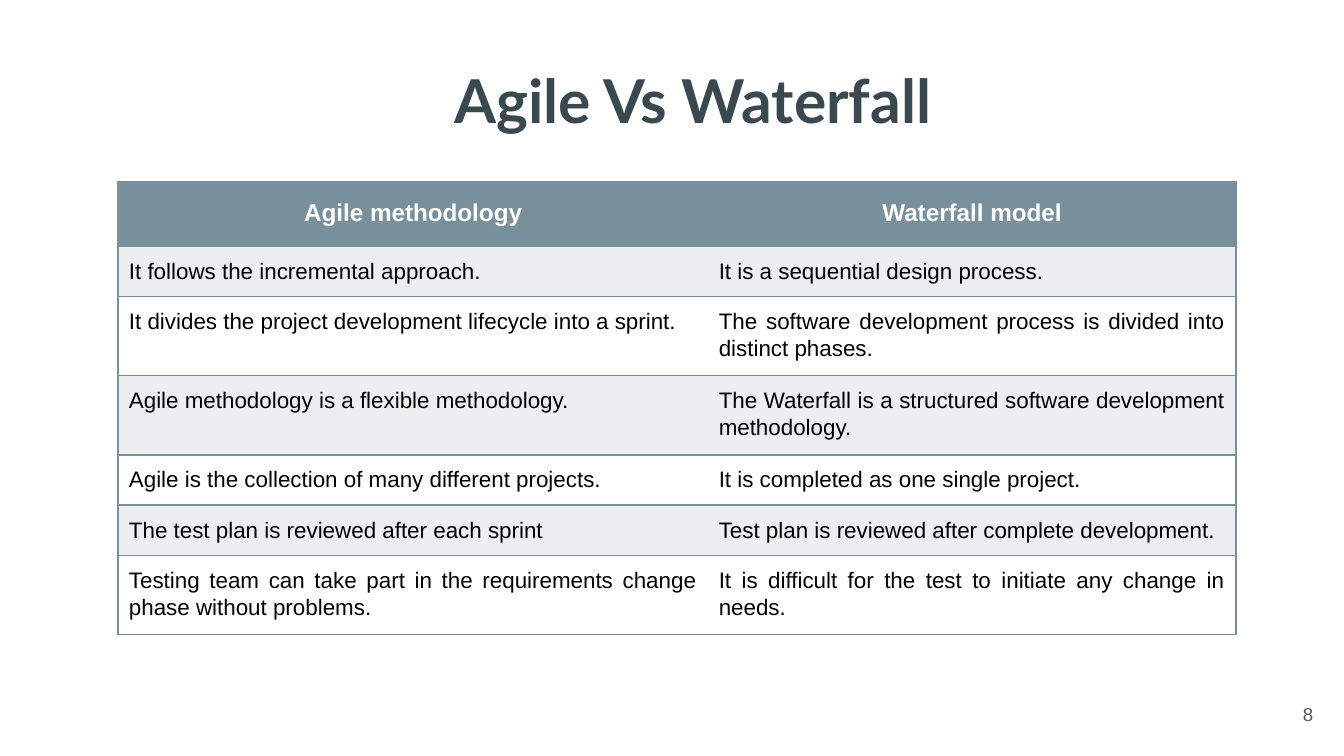
from dataclasses import dataclass

from lxml import etree
from pptx import Presentation
from pptx.dml.color import RGBColor
from pptx.enum.text import MSO_ANCHOR, PP_ALIGN
from pptx.oxml.ns import qn
from pptx.util import Pt

LEFT, CENTER, RIGHT, JUSTIFY = PP_ALIGN.LEFT, PP_ALIGN.CENTER, PP_ALIGN.RIGHT, PP_ALIGN.JUSTIFY
TOP, MIDDLE = MSO_ANCHOR.TOP, MSO_ANCHOR.MIDDLE


@dataclass(frozen=True)
class Theme:
    title_font: str = "Lato"
    body_font: str = "Arial"
    title_size: float = 32.4
    header_size: float = 13
    body_size: float = 12
    number_size: float = 10
    title: str = "3A4950"
    slate: str = "78909C"
    band: str = "ECEEEF"
    white: str = "FFFFFF"
    black: str = "000000"
    gray: str = "595959"


def write(tf, text, *, font, size, color, bold=False, align=LEFT, spacing=None):
    p = tf.paragraphs[0]
    p.alignment = align
    if spacing:
        p.line_spacing = spacing
    r = p.add_run()
    r.text = text
    r.font.name = font
    r.font.size = Pt(size)
    r.font.bold = bold
    r.font.color.rgb = RGBColor.from_string(color)


class SlideBuilder:
    def __init__(self, s, theme):
        self.s = s
        self.theme = theme

    def text(self, text, box, anchor=TOP, **fmt):
        sp = self.s.shapes.add_textbox(*map(Pt, box))
        tf = sp.text_frame
        tf.word_wrap = True
        tf.vertical_anchor = anchor
        tf.margin_left = tf.margin_right = tf.margin_top = tf.margin_bottom = Pt(7.2)
        write(tf, text, **fmt)

    def borders(self, cell, open_side):
        tc_pr = cell._tc.get_or_add_tcPr()
        for side in "LRTB":
            ln = etree.SubElement(tc_pr, qn(f"a:ln{side}"), w=str(Pt(1)))
            if side == open_side:
                etree.SubElement(ln, qn("a:noFill"))
            else:
                fill = etree.SubElement(ln, qn("a:solidFill"))
                etree.SubElement(fill, qn("a:srgbClr"), val=self.theme.slate)

    def cell(self, cell, text, fill, margin, open_side, **fmt):
        cell.margin_left = cell.margin_right = Pt(margin)
        cell.margin_top = cell.margin_bottom = Pt(margin)
        self.borders(cell, open_side)
        cell.fill.solid()
        cell.fill.fore_color.rgb = RGBColor.from_string(fill)
        write(cell.text_frame, text, font=self.theme.body_font, spacing=1.07, **fmt)

    def table(self, rows, left, top, widths, heights):
        t = self.theme
        header = dict(margin=8.5, size=t.header_size, color=t.white, bold=True, align=CENTER)
        body = dict(margin=5.8, size=t.body_size, color=t.black, align=JUSTIFY)
        table = self.s.shapes.add_table(
            len(rows), len(widths), Pt(left), Pt(top), Pt(sum(widths)), Pt(sum(heights))
        ).table
        for column, width in zip(table.columns, widths):
            column.width = Pt(width)
        for i, (row, height) in enumerate(zip(rows, heights)):
            table.rows[i].height = Pt(height)
            fill = t.slate if i == 0 else (t.white, t.band)[i % 2]
            for j, text in enumerate(row):
                self.cell(table.cell(i, j), text, fill, open_side="RL"[j],
                          **(body if i else header))


ROWS = [
    ("Agile methodology", "Waterfall model"),
    ("It follows the incremental approach.", "It is a sequential design process."),
    ("It divides the project development lifecycle into a sprint.",
     "The software development process is divided into distinct phases."),
    ("Agile methodology is a flexible methodology.",
     "The Waterfall is a structured software development methodology."),
    ("Agile is the collection of many different projects.",
     "It is completed as one single project."),
    ("The test plan is reviewed after each sprint",
     "Test plan is reviewed after complete development."),
    ("Testing team can take part in the requirements change phase without problems.",
     "It is difficult for the test to initiate any change in needs."),
]
HEADER, SINGLE, DOUBLE = 34.3, 26.4, 40.8


def main():
    prs = Presentation()
    prs.slide_width, prs.slide_height = Pt(720), Pt(405)
    theme = Theme()
    slide = SlideBuilder(prs.slides.add_slide(prs.slide_layouts[6]), theme)
    slide.text("Agile Vs Waterfall", (46.8, 26.6, 648.7, 45.4), font=theme.title_font,
               size=theme.title_size, color=theme.title, bold=True, align=CENTER)
    slide.table(ROWS, 63.3, 97.6, (316, 282.8),
                (HEADER, SINGLE, DOUBLE, DOUBLE, SINGLE, SINGLE, DOUBLE))
    slide.text("8", (667.4, 367.2, 43.2, 31), anchor=MIDDLE, font=theme.body_font,
               size=theme.number_size, color=theme.gray, align=RIGHT)
    prs.save("out.pptx")


if __name__ == "__main__":
    main()
